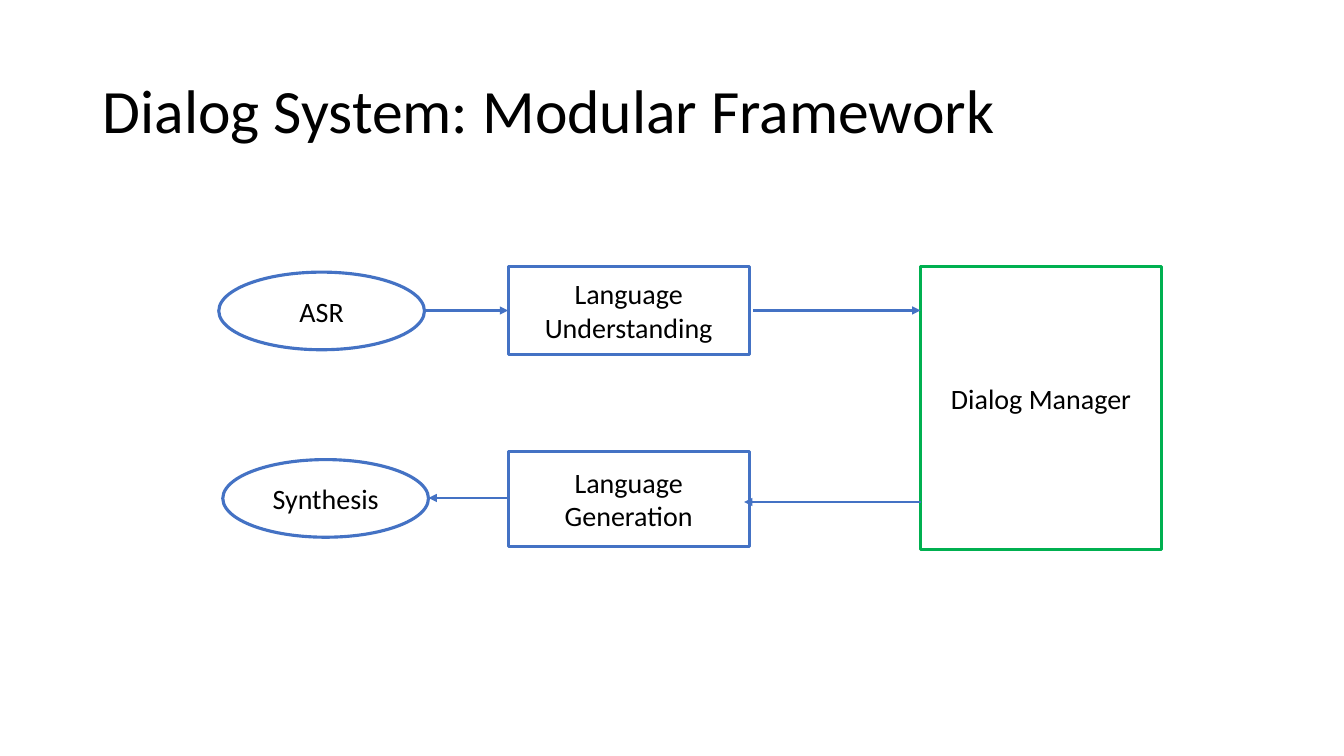
from lxml import etree
from pptx import Presentation
from pptx.dml.color import RGBColor
from pptx.enum.shapes import MSO_CONNECTOR, MSO_SHAPE
from pptx.enum.text import MSO_ANCHOR, MSO_AUTO_SIZE, PP_ALIGN
from pptx.oxml.ns import qn
from pptx.util import Inches, Pt

RECTANGLE, ELLIPSE = MSO_SHAPE.RECTANGLE, MSO_SHAPE.OVAL
STRAIGHT = MSO_CONNECTOR.STRAIGHT
MIDDLE, BOTTOM = MSO_ANCHOR.MIDDLE, MSO_ANCHOR.BOTTOM
LEFT, CENTER = PP_ALIGN.LEFT, PP_ALIGN.CENTER
NO_AUTOFIT = MSO_AUTO_SIZE.NONE
TITLE_ONLY = 5
FONT = "Calibri"
BLACK, WHITE, BLUE, GREEN = "000000", "FFFFFF", "4472C4", "00B050"


def color(code):
    return RGBColor.from_string(code)


def write(shape, text, size, align, anchor):
    frame = shape.text_frame
    frame.word_wrap = True
    frame.auto_size = NO_AUTOFIT
    frame.vertical_anchor = anchor
    para = frame.paragraphs[0]
    para.text = text
    para.alignment = align
    para.font.name = FONT
    para.font.size = Pt(size)
    para.font.color.rgb = color(BLACK)
    return para


def add_title(page, text, box):
    title = page.shapes.title
    title.left, title.top, title.width, title.height = map(Inches, box)
    write(title, text, 44, LEFT, MIDDLE).line_spacing = 0.9


def add_node(page, kind, box, outline, text=None):
    node = page.shapes.add_shape(kind, *map(Inches, box))
    node.shadow.inherit = False
    node.fill.solid()
    node.fill.fore_color.rgb = color(WHITE)
    node.line.color.rgb = color(outline)
    node.line.width = Pt(2.25)
    if text:
        write(node, text, 20, CENTER, MIDDLE)


def add_arrow(page, start, end, y):
    arrow = page.shapes.add_connector(
        STRAIGHT, Inches(start), Inches(y), Inches(end), Inches(y))
    arrow.line.color.rgb = color(BLUE)
    arrow.line.width = Pt(1.5)
    properties = arrow._element.spPr
    etree.SubElement(properties.find(qn("a:ln")), qn("a:tailEnd"), type="triangle")
    etree.SubElement(properties, qn("a:effectLst"))


def add_manager(page, box):
    left, top, width, height = box
    add_node(page, RECTANGLE, box, GREEN)
    label_box = (left - 0.08, top + 0.08, width + 0.16, 1.45)
    label = page.shapes.add_textbox(*map(Inches, label_box))
    write(label, "Dialog Manager", 20, CENTER, BOTTOM)


def add_diagram(page, box):
    left, top, width, height = box
    node_width = 2.39
    module_left = left + 2.87
    manager_left = left + width - node_width

    # Speech input and output: label, horizontal offset, vertical offset
    for text, dx, dy in (("ASR", 0, 0.06), ("Synthesis", 0.04, 1.92)):
        add_node(page, ELLIPSE, (left + dx, top + dy, 2.04, 0.77), BLUE, text)

    # Language modules: label, vertical offset, height
    for text, dy, module_height in (("Language Understanding", 0, 0.88),
                                    ("Language Generation", 1.84, 0.94)):
        add_node(page, RECTANGLE,
                 (module_left, top + dy, node_width, module_height), BLUE, text)

    add_manager(page, (manager_left, top, node_width, height))

    # Arrows: forward along the top row, back along the bottom row
    for start, end, dy in ((left + 2.04, module_left, 0.44),
                           (left + 5.3, manager_left, 0.44),
                           (manager_left, left + 5.21, 2.34),
                           (module_left, left + 2.08, 2.3)):
        add_arrow(page, start, end, top + dy)


def main():
    deck = Presentation()
    deck.slide_width, deck.slide_height = Inches(13.33), Inches(7.5)
    page = deck.slides.add_slide(deck.slide_layouts[TITLE_ONLY])
    add_title(page, "Dialog System: Modular Framework", (0.92, 0.4, 11.5, 1.45))
    add_diagram(page, (2.17, 2.64, 9.35, 2.81))
    deck.save("out.pptx")


if __name__ == "__main__":
    main()
